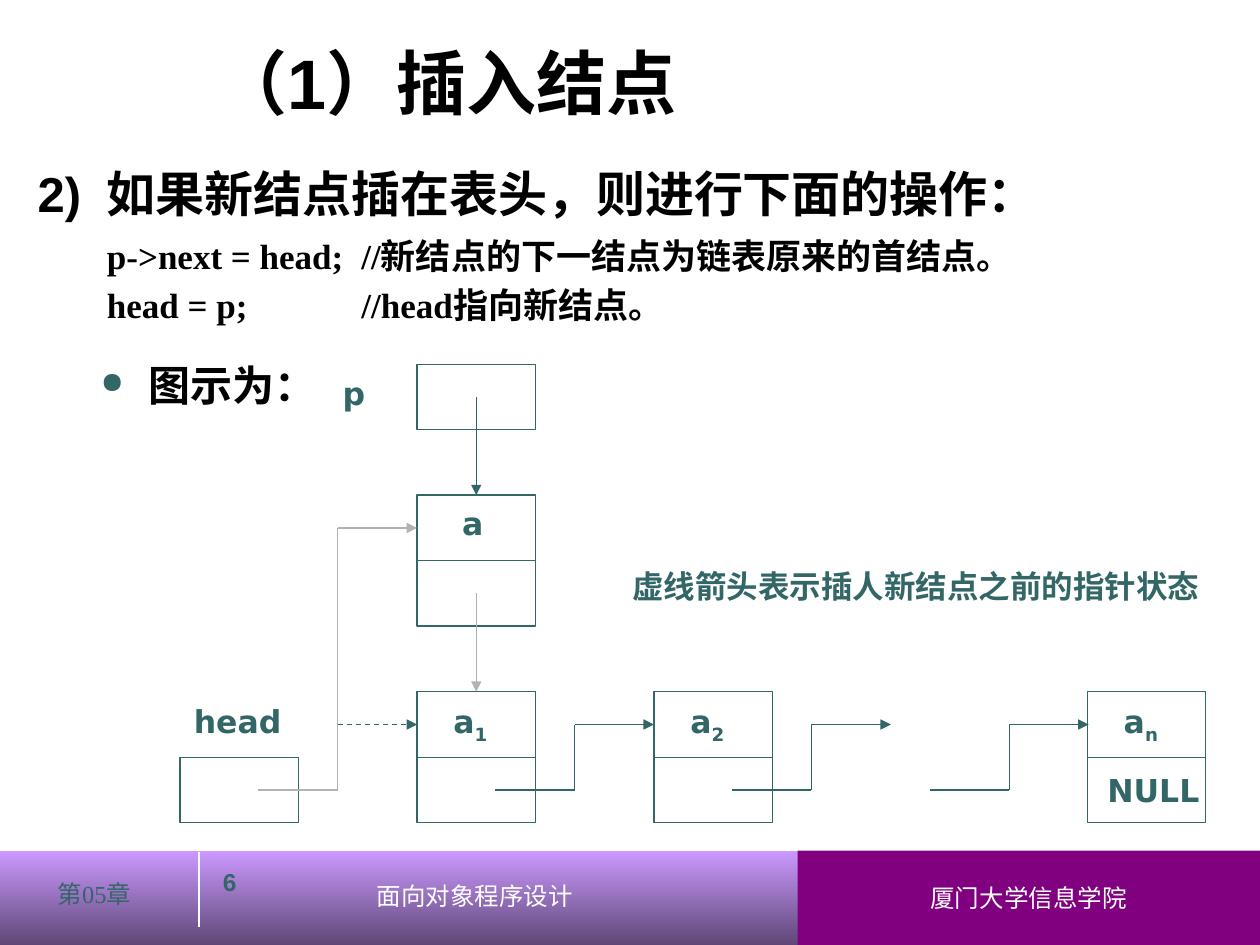
from dataclasses import dataclass
from itertools import pairwise

from lxml.etree import SubElement
from pptx import Presentation
from pptx.dml.color import RGBColor
from pptx.enum.dml import MSO_LINE
from pptx.enum.shapes import MSO_CONNECTOR, MSO_SHAPE
from pptx.enum.text import MSO_ANCHOR, MSO_AUTO_SIZE, PP_ALIGN
from pptx.oxml.ns import qn
from pptx.util import Inches, Pt


@dataclass(frozen=True)
class Theme:
    ink: str = "000000"
    teal: str = "336666"
    gray: str = "B2B2B2"
    white: str = "FFFFFF"
    purple: str = "800080"
    band_top: str = "CC99FF"
    band_bottom: str = "5E4776"
    sans: str = "Arial"
    serif: str = "Times New Roman"
    label: str = "DejaVu Sans"
    school: str = "Lato"
    title_size: int = 40
    heading_size: int = 28
    bullet_size: int = 24
    code_size: int = 20
    label_size: int = 18
    footer_size: int = 14


THEME = Theme()
CELL_WIDTH, CELL_HEIGHT = 0.94, 0.52
LIST_TOP, NEW_TOP, POINTER_TOP = 5.49, 3.93, 2.89
NODE_LEFTS = {"1": 3.31, "2": 5.19, "n": 8.63}
STEP = 0.63


class SlideBuilder:
    def __init__(self, page, theme):
        self.page = page
        self.theme = theme

    def style(self, paragraph, size, name, color, bold=False):
        font = paragraph.font
        font.size, font.name, font.bold = Pt(size), name, bold
        font.color.rgb = RGBColor.from_string(color)

    def title(self, text, *place):
        box = self.page.shapes.title
        box.left, box.top, box.width, box.height = map(Inches, place)
        frame = box.text_frame
        frame.auto_size = MSO_AUTO_SIZE.NONE
        frame.vertical_anchor = MSO_ANCHOR.MIDDLE
        frame.text = text
        paragraph = frame.paragraphs[0]
        paragraph.alignment = PP_ALIGN.LEFT
        self.style(paragraph, self.theme.title_size, self.theme.sans, self.theme.ink, True)

    def frame(self, *place, wrap=True):
        frame = self.page.shapes.add_textbox(*map(Inches, place)).text_frame
        frame.word_wrap = wrap
        return frame

    def text(self, text, place, size, name, color, bold=False, align=PP_ALIGN.LEFT):
        paragraph = self.frame(*place).paragraphs[0]
        paragraph.text = text
        paragraph.alignment = align
        self.style(paragraph, size, name, color, bold)

    def label(self, text, place, subscript=""):
        frame = self.frame(*place, wrap=False)
        frame.auto_size = MSO_AUTO_SIZE.SHAPE_TO_FIT_TEXT
        paragraph = frame.paragraphs[0]
        paragraph.text = text
        if subscript:
            span = paragraph.add_run()
            span.text = subscript
            span.font._element.set("baseline", "-25000")
        self.style(paragraph, self.theme.label_size, self.theme.label, self.theme.teal, True)

    def tabs(self, paragraph, *stops):
        tab_list = SubElement(paragraph._p.get_or_add_pPr(), qn("a:tabLst"))
        for stop in stops:
            SubElement(tab_list, qn("a:tab"), pos=str(Inches(stop)), algn="l")

    def bullet(self, paragraph, margin, hanging):
        properties = paragraph._p.get_or_add_pPr()
        properties.set("marL", str(Inches(margin)))
        properties.set("indent", str(-Inches(hanging)))
        color = SubElement(properties, qn("a:buClr"))
        SubElement(color, qn("a:srgbClr"), val=self.theme.teal)
        SubElement(properties, qn("a:buSzPct"), val="70000")
        SubElement(properties, qn("a:buChar"), char="●")

    def rectangle(self, *place):
        box = self.page.shapes.add_shape(MSO_SHAPE.RECTANGLE, *map(Inches, place))
        box.shadow.inherit = False
        return box

    def band(self, *place):
        box = self.rectangle(*place)
        box.line.fill.background()
        box.fill.gradient()
        box.fill.gradient_angle = 270
        colors = (self.theme.band_top, self.theme.band_bottom)
        for stop, color in zip(box.fill.gradient_stops, colors):
            stop.color.rgb = RGBColor.from_string(color)

    def panel(self, text, *place):
        box = self.rectangle(*place)
        box.line.fill.background()
        box.fill.solid()
        box.fill.fore_color.rgb = RGBColor.from_string(self.theme.purple)
        paragraph = box.text_frame.paragraphs[0]
        paragraph.text = text
        paragraph.alignment = PP_ALIGN.CENTER
        self.style(paragraph, self.theme.footer_size, self.theme.school, self.theme.white)

    def cell(self, left, top, rows=1):
        box = self.rectangle(left, top, CELL_WIDTH, rows * CELL_HEIGHT)
        box.fill.background()
        box.line.color.rgb = RGBColor.from_string(self.theme.teal)
        box.line.width = Pt(0.75)
        return box

    def node(self, left, top):
        box = self.cell(left, top, rows=2)
        middle = top + CELL_HEIGHT
        self.line((left, middle), (left + CELL_WIDTH, middle), self.theme.teal)
        return box

    def line(self, start, end, color, width=0.75, arrow=False, dashed=False):
        connector = self.page.shapes.add_connector(
            MSO_CONNECTOR.STRAIGHT, *map(Inches, (*start, *end)))
        connector.line.color.rgb = RGBColor.from_string(color)
        connector.line.width = Pt(width)
        if dashed:
            connector.line.dash_style = MSO_LINE.DASH
        if arrow:
            SubElement(connector.line._get_or_add_ln(), qn("a:tailEnd"), type="triangle")
        SubElement(connector._element.spPr, qn("a:effectLst"))
        return connector

    def link(self, left, bottom, top, color):
        turn, right = left + STEP, left + 2 * STEP
        points = [(left, bottom), (turn, bottom), (turn, top), (right, top)]
        for index, (start, end) in enumerate(pairwise(points)):
            self.line(start, end, color, arrow=index == 2)

    def drop(self, top, target, color):
        center = NODE_LEFTS["1"] + CELL_WIDTH / 2
        connector = self.line((center, top), (center, target.top.inches), color, arrow=True)
        connector.end_connect(target, 0)


def add_footer(builder):
    theme = builder.theme
    builder.band(0, 6.75, 10, 0.75)
    builder.line((1.58, 6.76), (1.58, 7.36), theme.white, width=1)
    builder.panel("厦门大学信息学院", 6.33, 6.75, 3.67, 0.75)
    builder.text("第05章", (0, 6.93, 1.5, 0.57), theme.footer_size, theme.serif,
                 theme.teal, align=PP_ALIGN.CENTER)
    builder.text("面向对象程序设计", (2.89, 6.94, 1.78, 0.42), theme.footer_size,
                 theme.serif, theme.white)
    builder.text("6", (1.67, 6.83, 1.42, 0.5), theme.footer_size, theme.sans,
                 theme.teal, True)


def add_steps(builder):
    theme = builder.theme
    frame = builder.frame(0.2, 1.25, 9.61, 2.91)
    heading = frame.paragraphs[0]
    heading.text = "2)\t如果新结点插在表头，则进行下面的操作："
    builder.tabs(heading, 0.55)
    builder.style(heading, theme.heading_size, theme.sans, theme.ink, True)
    code_lines = [
        ("\tp->next = head;\t//新结点的下一结点为链表原来的首结点。", 7),
        ("\thead = p;\t//head指向新结点。", 4),
    ]
    for text, gap in code_lines:
        paragraph = frame.add_paragraph()
        paragraph.text = text
        paragraph.space_before = Pt(gap)
        builder.tabs(paragraph, 0.55, 2.57)
        builder.style(paragraph, theme.code_size, theme.serif, theme.ink, True)
    caption = frame.add_paragraph()
    caption.text = "图示为："
    caption.line_spacing = 1.5
    caption.space_before = Pt(5)
    builder.bullet(caption, 0.88, 0.38)
    builder.style(caption, theme.bullet_size, theme.sans, theme.ink, True)


def add_diagram(builder):
    theme = builder.theme
    first_left = NODE_LEFTS["1"]
    nodes = {key: builder.node(left, LIST_TOP) for key, left in NODE_LEFTS.items()}
    new_node = builder.node(first_left, NEW_TOP)
    builder.cell(first_left, POINTER_TOP)
    builder.cell(1.43, LIST_TOP + CELL_HEIGHT)
    upper, lower = LIST_TOP + CELL_HEIGHT / 2, LIST_TOP + CELL_HEIGHT * 1.5
    builder.link(2.05, lower, NEW_TOP + CELL_HEIGHT / 2, theme.gray)
    for left in (3.93, 5.81, 7.38):
        builder.link(left, lower, upper, theme.teal)
    builder.drop(POINTER_TOP + CELL_HEIGHT / 2, new_node, theme.teal)
    builder.drop(NEW_TOP + CELL_HEIGHT * 1.5, nodes["1"], theme.gray)
    builder.line((2.68, upper), (first_left, upper), theme.teal, arrow=True, dashed=True)
    for key, left in NODE_LEFTS.items():
        builder.label("a", (left + 0.19, 5.52, 0.49, 0.4), key)
    builder.label("head", (1.44, 5.52, 0.9, 0.4))
    builder.label("p", (2.62, 2.92, 0.38, 0.4))
    builder.label("NULL", (8.69, 6.07, 0.94, 0.4))
    builder.label("a", (3.57, 3.95, 0.37, 0.4))
    builder.text("虚线箭头表示插人新结点之前的指针状态", (4.92, 4.45, 5, 0.4),
                 theme.label_size, theme.sans, theme.teal, True)


def main():
    deck = Presentation()
    deck.slide_width, deck.slide_height = Inches(10), Inches(7.5)
    builder = SlideBuilder(deck.slides.add_slide(deck.slide_layouts[5]), THEME)
    add_footer(builder)
    builder.title("（1）插入结点", 1.63, 0.13, 7.67, 1.04)
    add_steps(builder)
    add_diagram(builder)
    deck.save("out.pptx")


if __name__ == "__main__":
    main()
